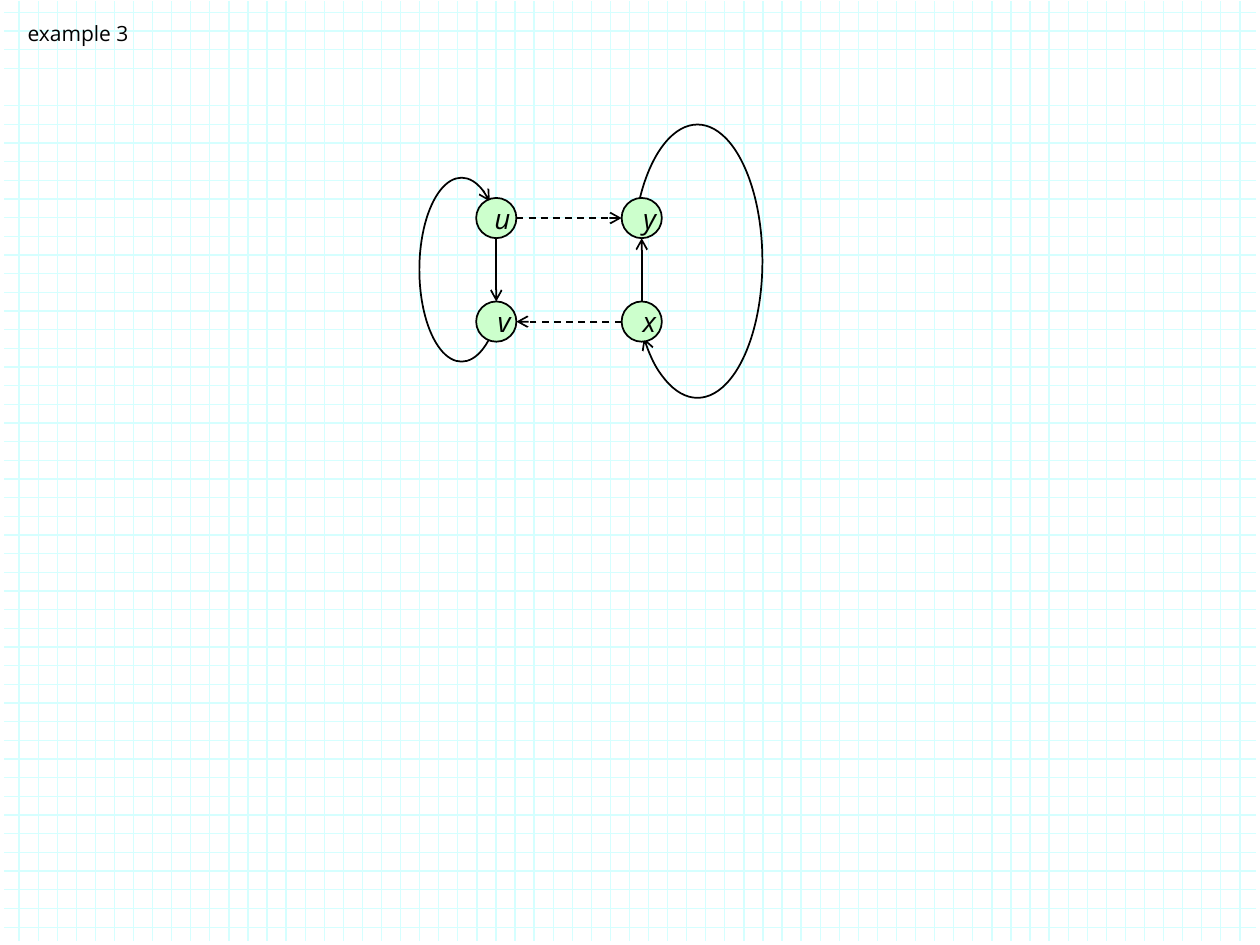
from lxml import etree
from pptx import Presentation
from pptx.dml.color import RGBColor
from pptx.enum.dml import MSO_LINE
from pptx.enum.shapes import MSO_CONNECTOR, MSO_SHAPE
from pptx.enum.text import MSO_ANCHOR, MSO_AUTO_SIZE, PP_ALIGN
from pptx.oxml.ns import qn
from pptx.util import Pt


def stroke(shape, hue, width, dash=None, end=None):
    """Style an outline; end names the XML tag of an arrowhead, if any."""
    line = shape.line
    line.color.rgb = RGBColor.from_string(hue)
    line.width = Pt(width)
    if dash:
        line.dash_style = dash
    props = shape.element.spPr
    if end:
        etree.SubElement(props.find(qn("a:ln")), qn(end), type="arrow")
    if props.find(qn("a:effectLst")) is None:
        etree.SubElement(props, qn("a:effectLst"))


def write(shape, text, size, wrap, align, italic=False):
    frame = shape.text_frame
    part = frame.paragraphs[0]
    part.alignment = align
    run = part.add_run()
    run.text = text
    run.font.color.rgb = RGBColor.from_string("000000")
    looks = {
        frame: {"margin_left": 0, "margin_right": 0, "margin_top": 0,
                "margin_bottom": 0, "word_wrap": wrap,
                "vertical_anchor": MSO_ANCHOR.MIDDLE},
        run.font: {"name": "Open Sans", "size": Pt(size), "italic": italic},
    }
    for item, values in looks.items():
        for key, value in values.items():
            setattr(item, key, value)


deck = Presentation()
deck.slide_width, deck.slide_height = Pt(720), Pt(540)
slide = deck.slides.add_slide(deck.slide_layouts[6])
shapes = slide.shapes

# Graph paper: one row is left out of the even spacing
grid = [(10.9 * i, 0.7, 10.9 * i, 537.8) for i in range(1, 66)]
rows = [7 + 10.67 * i for i in range(50) if i != 4]
grid += [(717.8, y, 2.2, y) for y in rows]
for ends in grid:
    rule = shapes.add_connector(MSO_CONNECTOR.STRAIGHT, *map(Pt, ends))
    stroke(rule, "D5FFFF", 0.75)

title = shapes.add_textbox(Pt(15.8), Pt(11.5), Pt(63.4), Pt(14.4))
write(title, "example 3", 12, True, PP_ALIGN.LEFT)
title.text_frame.auto_size = MSO_AUTO_SIZE.SHAPE_TO_FIT_TEXT

# Straight edges run from rim to rim of the nodes
radius = 11.5
nodes = {"v": (283.6, 183.8), "u": (283.6, 124.6),
         "x": (366.7, 183.8), "y": (366.7, 124.6)}
edges = [("u", "v", None), ("x", "y", None),
         ("x", "v", MSO_LINE.DASH), ("u", "y", MSO_LINE.DASH)]
for start, stop, dash in edges:
    (x1, y1), (x2, y2) = nodes[start], nodes[stop]
    span = abs(x2 - x1) + abs(y2 - y1)
    dx, dy = radius * (x2 - x1) / span, radius * (y2 - y1) / span
    ends = (x1 + dx, y1 + dy, x2 - dx, y2 - dy)
    edge = shapes.add_connector(MSO_CONNECTOR.STRAIGHT, *map(Pt, ends))
    stroke(edge, "000000", 1, dash, "a:tailEnd")

# Curved edges: box, start and stop angle in degrees, mirrored, arrow end
loops = [
    ((239.7, 101.6, 48.2, 105.1), (69.1, 292.43), False, "a:tailEnd"),
    ((361.5, 71.2, 74.2, 156.2), (55.23, 312.69), True, "a:headEnd"),
]
for box, angles, flip, end in loops:
    arc = shapes.add_shape(MSO_SHAPE.ARC, *map(Pt, box))
    arc.shadow.inherit = False
    arc.fill.background()
    for i, angle in enumerate(angles):
        arc.adjustments[i] = angle * 0.6
    if flip:
        arc.element.spPr.find(qn("a:xfrm")).set("flipH", "1")
    stroke(arc, "000000", 1, end=end)

for name, (x, y) in nodes.items():
    box = (x - radius, y - radius, 2 * radius, 2 * radius)
    node = shapes.add_shape(MSO_SHAPE.OVAL, *map(Pt, box))
    node.shadow.inherit = False
    node.fill.solid()
    node.fill.fore_color.rgb = RGBColor.from_string("CCFFCC")
    stroke(node, "000000", 1)
    write(node, name, 16, False, PP_ALIGN.RIGHT, True)

deck.save("out.pptx")
